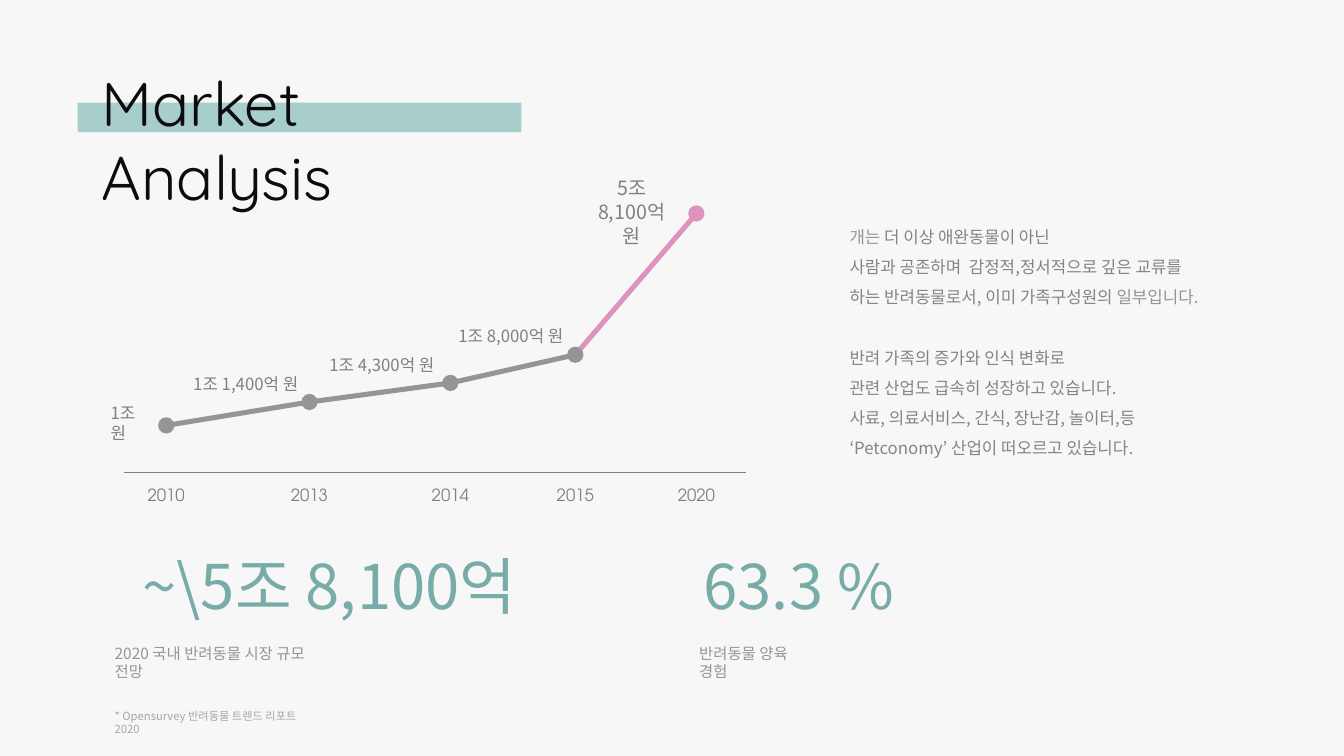
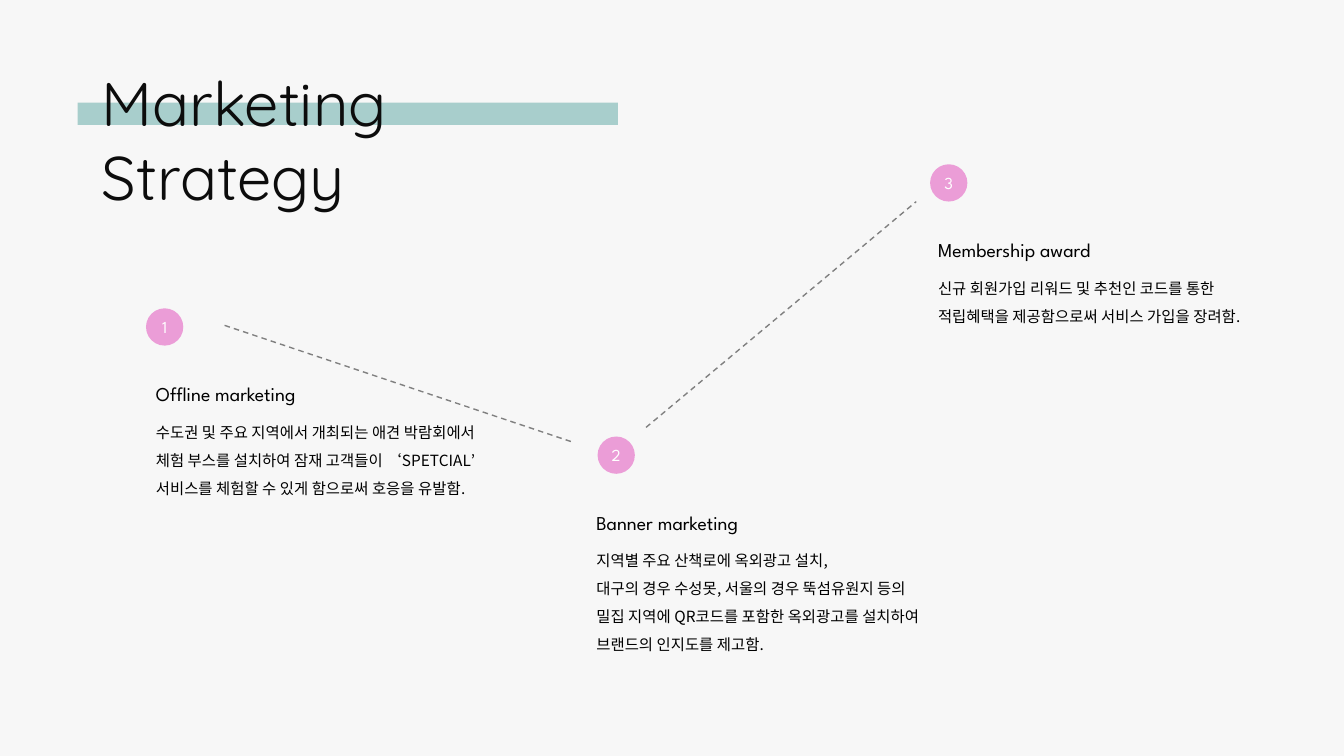
import lxml.etree
import pptx
import pptx.dml.color
import pptx.enum.dml
import pptx.enum.shapes
import pptx.enum.text
import pptx.oxml.ns
import pptx.util

Cm = pptx.util.Cm
Pt = pptx.util.Pt
Shape = pptx.enum.shapes.MSO_SHAPE
Align = pptx.enum.text.PP_ALIGN
qn = pptx.oxml.ns.qn

COLORS = {
    "paper": "F7F7F7", "band": "A8CECC", "title": "0C0C0C", "teal": "78ACA9",
    "gray": "959595", "dark": "808080", "body": "848484", "note": "A6A6A6",
    "rose": "DD93BD", "pink": "EB9DD7", "black": "000000", "white": "FFFFFF",
}
KOREAN = "Noto Sans CJK KR"
LATIN = "League Spartan"
YEARS = "TeX Gyre Adventor"
TITLE = "Quicksand"


def color(name):
    return pptx.dml.color.RGBColor.from_string(COLORS[name])


class Deck:
    def __init__(self):
        self.prs = pptx.Presentation()
        self.prs.slide_width = Cm(33.87)
        self.prs.slide_height = Cm(19.05)
        self.slide = None

    def page(self, title, width, height):
        self.slide = self.prs.slides.add_slide(self.prs.slide_layouts[6])
        fill = self.slide.background.fill
        fill.solid()
        fill.fore_color.rgb = color("paper")
        self.shape(Shape.RECTANGLE, 1.96, 2.59, width, height, "band")
        self.text(2.31, 1.52, width + 0.25, 2.13, [title], 44, "title", TITLE)

    def shape(self, kind, x, y, w, h, fill):
        item = self.slide.shapes.add_shape(kind, Cm(x), Cm(y), Cm(w), Cm(h))
        item.shadow.inherit = False
        item.fill.solid()
        item.fill.fore_color.rgb = color(fill)
        item.line.fill.background()
        return item

    def dot(self, x, y, size, fill):
        return self.shape(Shape.OVAL, x - size / 2, y - size / 2, size, size, fill)

    def line(self, start, end, tone="dark", width=1, dash=False):
        item = self.slide.shapes.add_connector(
            pptx.enum.shapes.MSO_CONNECTOR.STRAIGHT,
            *[Cm(v) for v in (*start, *end)])
        item.line.color.rgb = color(tone)
        item.line.width = Pt(width)
        if dash:
            item.line.dash_style = pptx.enum.dml.MSO_LINE.DASH
        lxml.etree.SubElement(item._element.spPr, qn("a:effectLst"))

    def style(self, para, size, tone, face, align=Align.LEFT):
        para.alignment = align
        para.font.size = Pt(size)
        para.font.color.rgb = color(tone)
        para.font.name = face
        east = lxml.etree.SubElement(para._p.pPr.find(qn("a:defRPr")), qn("a:ea"))
        east.set("typeface", face)

    def text(self, x, y, w, h, lines, size, tone, face=KOREAN,
             align=Align.LEFT, space=None, wrap=True):
        box = self.slide.shapes.add_textbox(Cm(x), Cm(y), Cm(w), Cm(h))
        frame = box.text_frame
        frame.word_wrap = wrap
        for i, line in enumerate(lines):
            para = frame.paragraphs[0] if i == 0 else frame.add_paragraph()
            parts = [(line, None)] if isinstance(line, str) else line
            for words, tint in parts:
                run = para.add_run()
                run.text = words
                if tint:
                    run.font.color.rgb = color(tint)
            if space:
                para.line_spacing = space
            self.style(para, size, tone, face, align)
        return frame

    def step(self, num, x, y, left, width, head, lines):
        size = 0.94
        disc = self.shape(Shape.OVAL, x, y, size, size, "pink")
        frame = disc.text_frame
        frame.margin_left = frame.margin_right = 0
        frame.margin_top = frame.margin_bottom = 0
        frame.vertical_anchor = pptx.enum.text.MSO_ANCHOR.MIDDLE
        para = frame.paragraphs[0]
        para.text = str(num)
        self.style(para, 12, "white", LATIN, Align.CENTER)
        self.text(left, y + 1.74, 5.2, 0.86, [head], 14, "black", LATIN)
        self.text(left, y + 2.54, width, 0.2 + 0.7 * len(lines), lines,
                  11, "black", space=1.5)


def market(deck):
    deck.page("Market Analysis", 11.18, 0.74)

    points = [
        ("2010", 4.19, 10.72), ("2013", 7.8, 10.13), ("2014", 11.35, 9.65),
        ("2015", 14.5, 8.94), ("2020", 17.55, 5.38),
    ]
    tones = ["gray"] * 4 + ["rose"]
    for (_, *start), (_, *end), tone in zip(points, points[1:], tones[1:]):
        deck.line(start, end, tone, 3.6)
    deck.line((3.12, 11.91), (18.8, 11.91))
    for (year, x, y), tone in zip(points, tones):
        deck.dot(x, y, 0.41, tone)
        deck.text(x - 0.76, 12.1, 1.52, 0.76, [year], 12, "dark", YEARS,
                  Align.CENTER, wrap=False)

    values = [
        (2.54, 10.03, 1.5, "1조 원"), (4.62, 9.3, 3.2, "1조 1,400억 원"),
        (8.05, 8.81, 3.2, "1조 4,300억 원"), (11.3, 8.08, 3.2, "1조 8,000억 원"),
    ]
    for x, y, width, value in values:
        deck.text(x, y, width, 0.76, [value], 12, "dark")
    deck.text(14.6, 4.32, 2.64, 1.45, ["5조", "8,100억 원"], 14, "dark",
              align=Align.CENTER)

    story = deck.text(21.16, 5.33, 9.32, 6.35, [
        [("개는 ", "gray"), ("더 이상 애완동물이 아닌", None)],
        "사람과 공존하며  감정적,정서적으로 깊은 교류를",
        [("하는 반려동물로서, 이미 가족구성원의 ", None), ("일부입니다.", "gray")],
        "반려 가족의 증가와 인식 변화로",
        "관련 산업도 급속히 성장하고 있습니다.",
        "사료, 의료서비스, 간식, 장난감, 놀이터,등",
        "‘Petconomy’ 산업이 떠오르고 있습니다.",
    ], 12, "body", space=1.5)
    story.paragraphs[3].space_before = Pt(21.5)

    stats = [
        (2.31, 11.99, "~\\5조 8,100억", 2.64, 5.95, "2020 국내 반려동물 시장 규모 전망"),
        (17.12, 6.02, "63.3 %", 17.37, 3.3, "반려동물 양육 경험"),
    ]
    for x, width, figure, left, span, label in stats:
        deck.text(x, 13.67, width, 2.13, [figure], 44, "teal", align=Align.CENTER)
        deck.text(left, 16.1, span, 0.74, [label], 11, "gray")
    deck.text(2.64, 17.75, 5.6, 0.61,
              ["* Opensurvey 반려동물 트렌드 리포트 2020"], 8, "note")


def plan(deck):
    deck.page("Marketing Strategy", 13.61, 0.56)
    deck.step(1, 3.68, 7.77, 3.68, 8.59, "Offline marketing", [
        "수도권 및 주요 지역에서 개최되는 애견 박람회에서",
        "체험 부스를 설치하여 잠재 고객들이 ‘SPETCIAL’",
        "서비스를 체험할 수 있게 함으로써 호응을 유발함.",
    ])
    deck.step(2, 15.06, 11, 14.78, 8.64, "Banner marketing", [
        "지역별 주요 산책로에 옥외광고 설치,",
        "대구의 경우 수성못, 서울의 경우 뚝섬유원지 등의",
        "밀집 지역에 QR코드를 포함한 옥외광고를 설치하여",
        "브랜드의 인지도를 제고함.",
    ])
    deck.step(3, 23.44, 4.14, 23.39, 8.4, "Membership award", [
        "신규 회원가입 리워드 및 추천인 코드를 통한",
        "적립혜택을 제공함으로써 서비스 가입을 장려함.",
    ])
    deck.line((5.66, 8.2), (14.4, 11.13), dash=True)
    deck.line((16.28, 10.77), (23.09, 5.08), dash=True)


def main():
    deck = Deck()
    market(deck)
    plan(deck)
    deck.prs.save("out.pptx")


if __name__ == "__main__":
    main()
